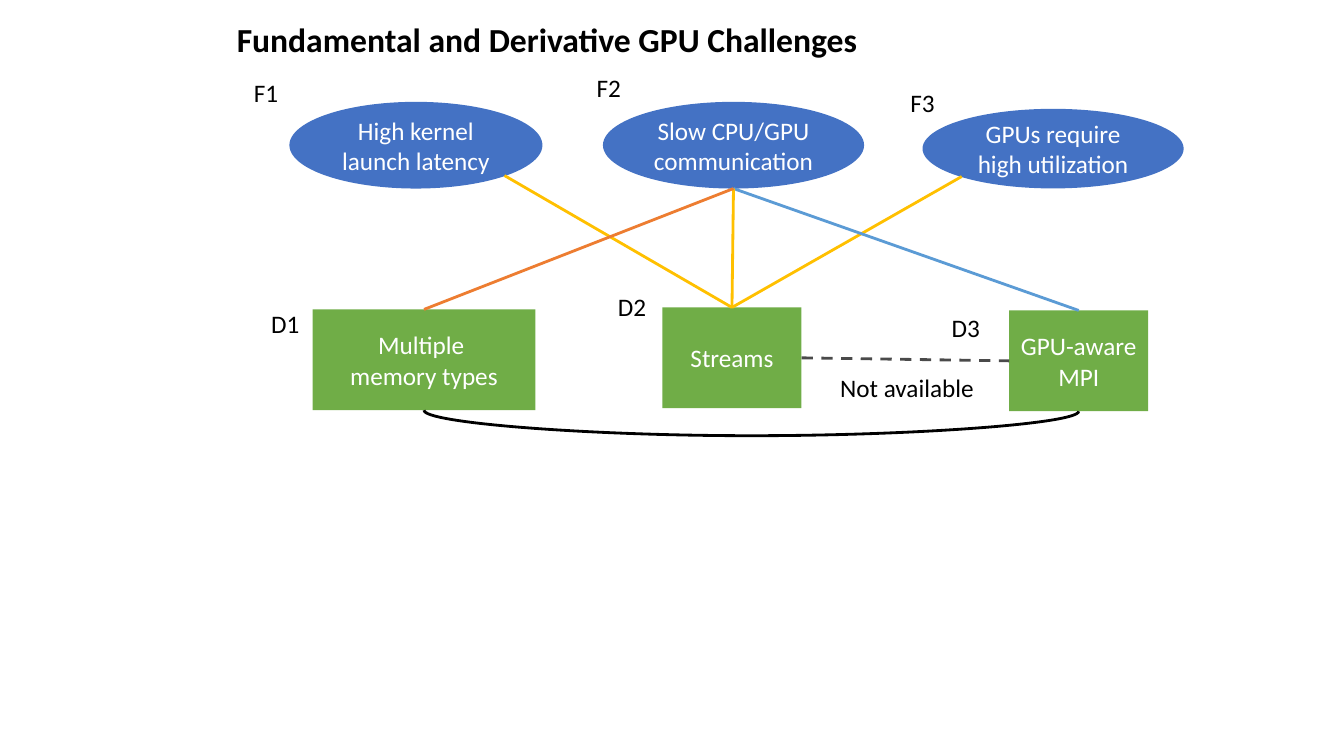
from lxml.etree import SubElement
from pptx import Presentation
from pptx.dml.color import RGBColor
from pptx.enum.dml import MSO_LINE
from pptx.enum.shapes import MSO_CONNECTOR, MSO_SHAPE
from pptx.enum.text import MSO_ANCHOR, MSO_AUTO_SIZE, PP_ALIGN
from pptx.oxml.ns import qn
from pptx.util import Inches, Pt

WIDTH, HEIGHT = Inches(13.33), Inches(7.5)
BLACK = RGBColor(0x00, 0x00, 0x00)
WHITE = RGBColor(0xFF, 0xFF, 0xFF)
BLUE = RGBColor(0x44, 0x72, 0xC4)
GREEN = RGBColor(0x70, 0xAD, 0x47)
GOLD = RGBColor(0xFF, 0xC0, 0x00)
ORANGE = RGBColor(0xED, 0x7D, 0x31)
SKY = RGBColor(0x5B, 0x9B, 0xD5)

TOP, BOTTOM, LEFT, RIGHT = (0.5, 0), (0.5, 1), (0, 0.5), (1, 0.5)
LOWER_LEFT, LOWER_RIGHT = (0.15, 0.85), (0.85, 0.85)

FUNDAMENTAL = [
    ("High kernel launch latency", (21.53, 13.47, 18.83, 11.47)),
    ("Slow CPU/GPU communication", (44.86, 13.47, 19.43, 11.47)),
    ("GPUs require high utilization", (68.64, 14.4, 19.43, 10.53)),
]
DERIVATIVE = [
    ("Multiple \nmemory types", (23.26, 40.93, 16.58, 13.33)),
    ("Streams", (49.29, 40.67, 10.35, 13.33)),
    ("GPU-aware MPI", (75.09, 41.07, 10.35, 13.33)),
]
LABELS = [
    ("F1", 18.15, 9.6), ("F2", 43.66, 8.93), ("F3", 66.99, 10.93),
    ("D1", 19.43, 40.13), ("D2", 45.24, 37.87), ("D3", 70.07, 40.67),
]
LABEL_WIDTHS = {"F": 3.45, "D": 3.8}


def place(x, y, w, h):
    """Turn percentages of the slide into lengths."""
    return (int(WIDTH * x / 100), int(HEIGHT * y / 100),
            int(WIDTH * w / 100), int(HEIGHT * h / 100))


def write(tf, text, color, align, size=18, bold=None):
    """Fill a text frame, one paragraph a line."""
    tf.text = text
    for p in tf.paragraphs:
        p.alignment = align
        p.font.name, p.font.size, p.font.bold = "Calibri", Pt(size), bold
        p.font.color.rgb = color


def add_node(s, kind, text, box, color):
    """Add a filled shape with white centred text."""
    sp = s.shapes.add_shape(kind, *place(*box))
    sp.shadow.inherit = False
    sp.fill.solid()
    sp.fill.fore_color.rgb = color
    sp.line.fill.background()
    sp.text_frame.vertical_anchor = MSO_ANCHOR.MIDDLE
    write(sp.text_frame, text, WHITE, PP_ALIGN.CENTER)
    return sp


def add_text(s, text, box, align=PP_ALIGN.LEFT, wrap=True, **font):
    """Add a black text box."""
    tf = s.shapes.add_textbox(*place(*box)).text_frame
    tf.word_wrap = wrap
    tf.auto_size = MSO_AUTO_SIZE.SHAPE_TO_FIT_TEXT
    write(tf, text, BLACK, align, **font)
    return tf


def site(sp, share):
    """Return the point at a share of a shape's width and height."""
    return (int(sp.left + sp.width * share[0]),
            int(sp.top + sp.height * share[1]))


def style_line(line, color):
    """Give a connector its colour and width, without a shadow."""
    line.line.color.rgb = color
    line.line.width = Pt(2)
    SubElement(line._element.spPr, qn("a:effectLst"))


def add_link(s, start, end, color):
    """Add a straight line between two points."""
    line = s.shapes.add_connector(MSO_CONNECTOR.STRAIGHT, *start, *end)
    style_line(line, color)
    return line


def add_sag(s, start, end, depth, color):
    """Add a curve that hangs below two points."""
    (x1, y1), (x2, y2) = start, end
    cx, cy, drop, span = (x1 + x2) // 2, (y1 + y2) // 2, y2 - y1, x2 - x1
    line = s.shapes.add_connector(
        MSO_CONNECTOR.CURVE, cx - drop // 2, cy - span // 2,
        cx + drop // 2, cy + span // 2)
    xfrm = line._element.spPr.find(qn("a:xfrm"))
    xfrm.set("rot", str(270 * 60000))
    xfrm.set("flipH", "1")
    guides = line._element.spPr.find(qn("a:prstGeom")).find(qn("a:avLst"))
    SubElement(guides, qn("a:gd"), name="adj1",
               fmla=f"val {int(depth / drop * 100000)}")
    style_line(line, color)


def main():
    """Build the slide and save it."""
    prs = Presentation()
    prs.slide_width, prs.slide_height = WIDTH, HEIGHT
    s = prs.slides.add_slide(prs.slide_layouts[6])

    latency, transfer, utilization = [
        add_node(s, MSO_SHAPE.OVAL, *node, BLUE) for node in FUNDAMENTAL]
    memory, streams, mpi = [
        add_node(s, MSO_SHAPE.RECTANGLE, *node, GREEN) for node in DERIVATIVE]

    for source, share, target, color in [
            (utilization, LOWER_LEFT, streams, GOLD),
            (transfer, BOTTOM, mpi, SKY),
            (latency, LOWER_RIGHT, streams, GOLD),
            (transfer, BOTTOM, streams, GOLD),
            (transfer, BOTTOM, memory, ORANGE)]:
        add_link(s, site(source, share), site(target, TOP), color)

    missing = add_link(s, site(streams, RIGHT), site(mpi, LEFT), BLACK)
    missing.line.dash_style = MSO_LINE.DASH
    black = missing._element.spPr.find(".//" + qn("a:srgbClr"))
    SubElement(black, qn("a:alpha"), val="71000")
    add_sag(s, site(memory, BOTTOM), site(mpi, BOTTOM), Inches(0.25), BLACK)

    title = add_text(s, "Fundamental and Derivative GPU Challenges",
                     (16.88, 1.87, 55.96, 7.33), size=24, bold=True)
    title.auto_size = MSO_AUTO_SIZE.NONE
    title.vertical_anchor = MSO_ANCHOR.MIDDLE
    title.paragraphs[0].line_spacing = 0.9
    add_text(s, "Not available", (61.37, 48.53, 12.23, 5.33), PP_ALIGN.CENTER)
    for text, x, y in LABELS:
        add_text(s, text, (x, y, LABEL_WIDTHS[text[0]], 5.33), wrap=False)

    prs.save("out.pptx")


main()
